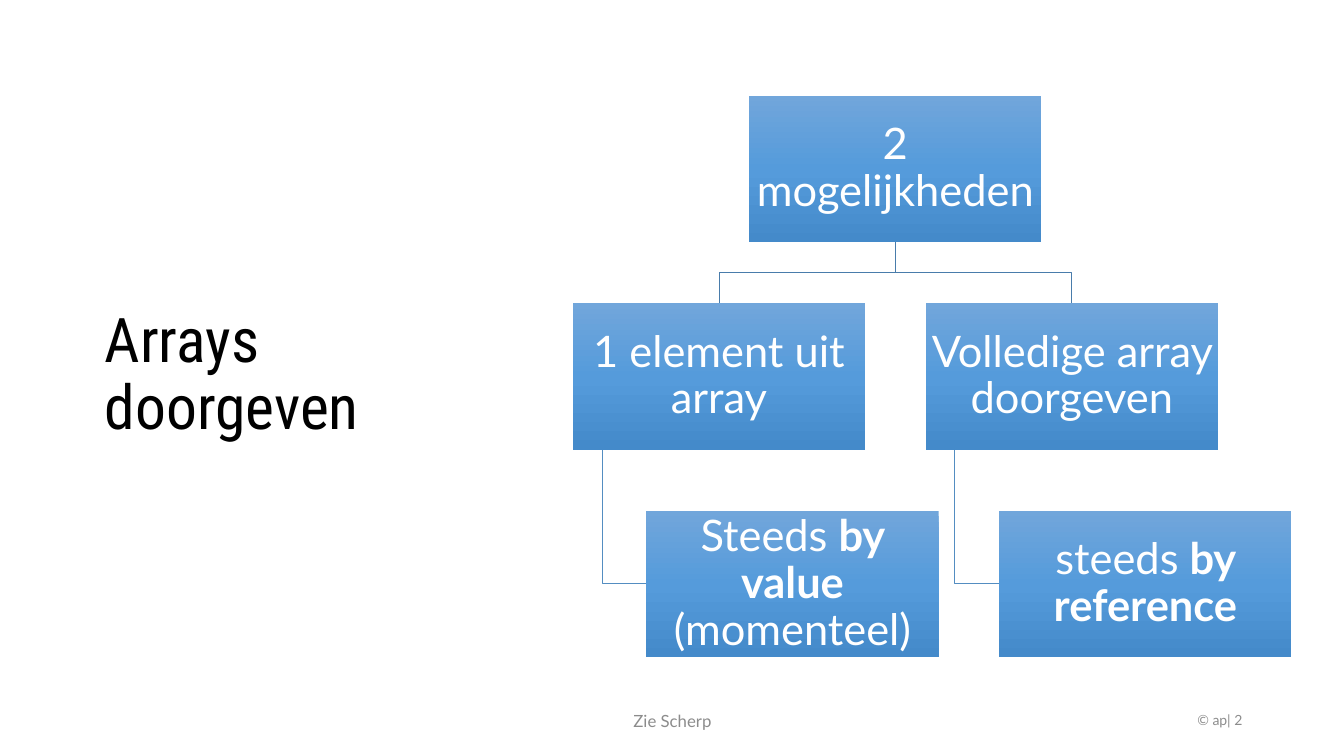
from copy import deepcopy

from pptx import Presentation
from pptx.dml.color import RGBColor
from pptx.enum.shapes import MSO_SHAPE
from pptx.enum.text import MSO_ANCHOR, PP_ALIGN
from pptx.util import Pt

RECTANGLE = MSO_SHAPE.RECTANGLE
MIDDLE = MSO_ANCHOR.MIDDLE
LEFT, CENTER, RIGHT = PP_ALIGN.LEFT, PP_ALIGN.CENTER, PP_ALIGN.RIGHT

PX = 9144
COLORS = {
    "title": "000000",
    "box_text": "FFFFFF",
    "footer": "8C8C8C",
    "branch": "497CAB",
    "leaf_line": "538DC1",
}
GRADIENT = [(0, "71A6DB"), (0.5, "559BDB"), (1, "448ACA")]

BOX_WIDTH, BOX_HEIGHT = 290, 145
ROOT_LEFT, TOP = 743, 95
LEVEL_STEP = 206
COLUMN_LEFTS = [568, 918]
LEAF_INDENT, STEM_INDENT = 73, 29


def write_text(shape, runs, font_name, size, color, alignment, line_spacing):
    text_frame = shape.text_frame
    text_frame.word_wrap = True
    text_frame.vertical_anchor = MIDDLE
    paragraph = text_frame.paragraphs[0]
    paragraph.alignment = alignment
    paragraph.line_spacing = line_spacing
    for text, bold in runs:
        run = paragraph.add_run()
        run.text = text
        run.font.name = font_name
        run.font.size = Pt(size)
        run.font.bold = bold
        run.font.color.rgb = RGBColor.from_string(COLORS[color])


def add_bent_line(slide, points, color):
    start, *rest = [(x * PX, y * PX) for x, y in points]
    builder = slide.shapes.build_freeform(*start)
    builder.add_line_segments(rest, close=False)
    shape = builder.convert_to_shape()
    shape.shadow.inherit = False
    shape.fill.background()
    shape.line.color.rgb = RGBColor.from_string(COLORS[color])
    shape.line.width = Pt(0.5)


presentation = Presentation()
presentation.slide_width = 1333 * PX
presentation.slide_height = 750 * PX
slide = presentation.slides.add_slide(presentation.slide_layouts[6])

root_center = ROOT_LEFT + BOX_WIDTH // 2
root_bottom = TOP + BOX_HEIGHT
child_top = TOP + LEVEL_STEP
leaf_top = child_top + LEVEL_STEP
fork_y = (root_bottom + child_top) // 2
leaf_middle = leaf_top + BOX_HEIGHT // 2

for left in COLUMN_LEFTS:
    child_center = left + BOX_WIDTH // 2
    stem = left + STEM_INDENT
    add_bent_line(slide, [(root_center, root_bottom), (root_center, fork_y),
                          (child_center, fork_y), (child_center, child_top)], "branch")
    add_bent_line(slide, [(stem, child_top + BOX_HEIGHT), (stem, leaf_middle),
                          (left + LEAF_INDENT, leaf_middle)], "leaf_line")

first_column, second_column = COLUMN_LEFTS
boxes = [
    (ROOT_LEFT, TOP, [("2 mogelijkheden", False)]),
    (first_column, child_top, [("1 element uit array", False)]),
    (first_column + LEAF_INDENT, leaf_top,
     [("Steeds ", False), ("by value ", True), ("(momenteel)", False)]),
    (second_column, child_top, [("Volledige array doorgeven", False)]),
    (second_column + LEAF_INDENT, leaf_top, [("steeds ", False), ("by reference", True)]),
]
for left, top, runs in boxes:
    box = slide.shapes.add_shape(RECTANGLE, left * PX, top * PX, BOX_WIDTH * PX, BOX_HEIGHT * PX)
    box.shadow.inherit = False
    box.line.fill.background()
    box.fill.gradient()
    box.fill.gradient_angle = 270
    stop_list = box._element.spPr.find(".//{*}gsLst")
    stop_list.append(deepcopy(stop_list[-1]))
    for stop, (position, color) in zip(box.fill.gradient_stops, GRADIENT):
        stop.position = position
        stop.color.rgb = RGBColor.from_string(color)
    text_frame = box.text_frame
    text_frame.margin_left = text_frame.margin_right = 2 * PX
    text_frame.margin_top = text_frame.margin_bottom = 2 * PX
    write_text(box, runs, "Lato", 31, "box_text", CENTER, 0.9)

labels = [
    ("Arrays doorgeven", (94, 111, 374, 524), "Roboto Condensed", 44, "title", LEFT, 0.9),
    ("© ap| 2", (1173, 695, 69, 40), "Lato", 10, "footer", RIGHT, 0.9),
    ("Zie Scherp", (442, 695, 450, 40), "Lato", 12, "footer", CENTER, 1.0),
]
for text, bounds, *style in labels:
    label = slide.shapes.add_textbox(*[length * PX for length in bounds])
    write_text(label, [(text, False)], *style)

presentation.save("out.pptx")
